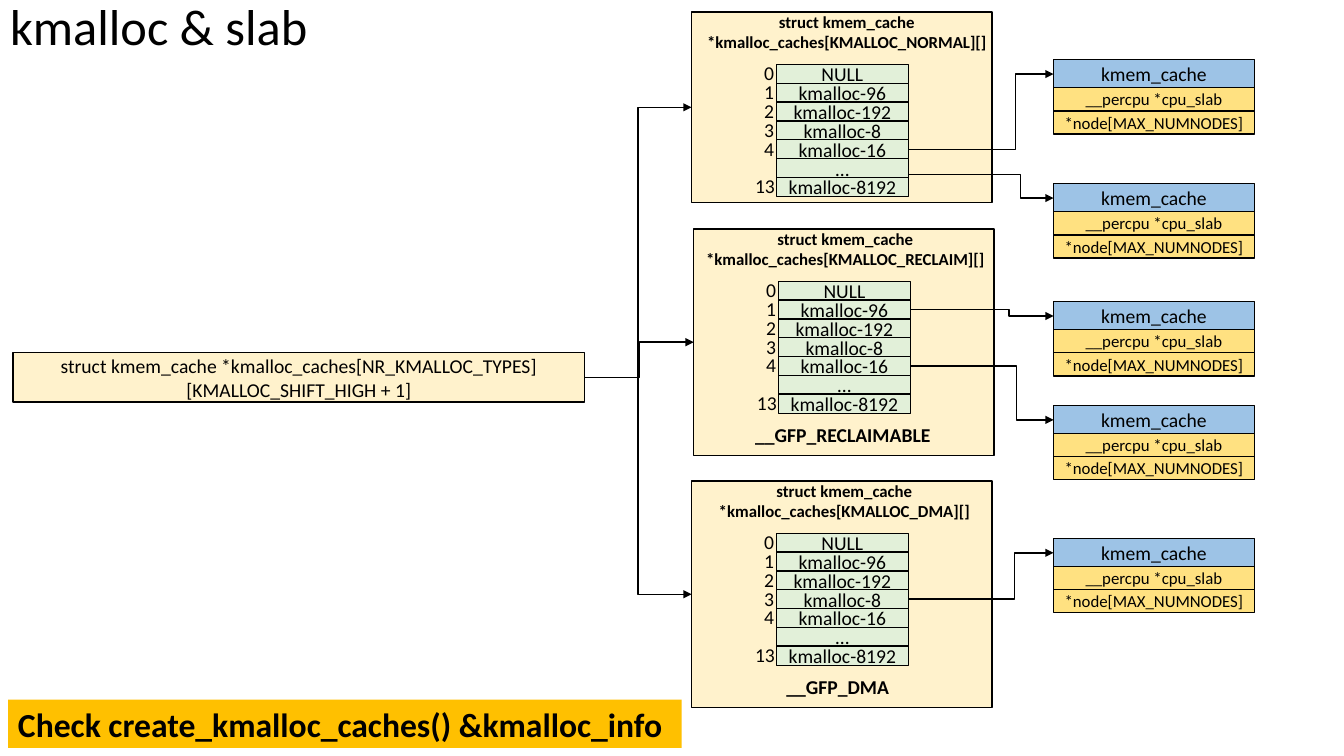
from lxml import etree
from pptx import Presentation
from pptx.dml.color import RGBColor
from pptx.enum.shapes import MSO_CONNECTOR, MSO_SHAPE
from pptx.enum.text import MSO_ANCHOR, MSO_AUTO_SIZE, PP_ALIGN
from pptx.oxml.ns import qn
from pptx.util import Inches, Pt

RECTANGLE = MSO_SHAPE.RECTANGLE
ELBOW = MSO_CONNECTOR.ELBOW
LEFT, CENTER = PP_ALIGN.LEFT, PP_ALIGN.CENTER
MIDDLE, TOP = MSO_ANCHOR.MIDDLE, MSO_ANCHOR.TOP
LEFT_SIDE, RIGHT_SIDE = 1, 3

BLACK, CREAM, GREEN = "000000", "FFF2CC", "E2F0D9"
BLUE, YELLOW, ORANGE = "9DC3E6", "FFE181", "FFC000"

ROWS = [("0", "NULL"), ("1", "kmalloc-96"), ("2", "kmalloc-192"), ("3", "kmalloc-8"),
        ("4", "kmalloc-16"), ("", "…"), ("13", "kmalloc-8192")]
ROW_PITCH = 1.12 / 6
CELL_WIDTH, CELL_HEIGHT = 1.31, 0.19
PANEL_WIDTH = 2.98

# left, top, height, header left, header width, cache type, flag, flag width
PANELS = [
    (6.86, 0.12, 1.89, 6.91, 2.98, "NORMAL", "", 0),
    (6.88, 2.27, 2.25, 6.86, 3.05, "RECLAIM", "__GFP_RECLAIMABLE", 1.97),
    (6.86, 4.77, 2.25, 6.85, 3.05, "DMA", "__GFP_DMA", 1.31),
]
# panel, row, top of the cache, bend as a share of the width
CACHES = [(0, 4, 0.59, 0.737), (0, 5, 1.82, 0.773), (1, 1, 2.99, 0.688),
          (1, 4, 4.02, 0.739), (2, 3, 5.34, 0.73)]


def color(value):
    return RGBColor.from_string(value)


def write(shape, text, size, bold=False, align=CENTER, anchor=MIDDLE):
    frame = shape.text_frame
    frame.word_wrap = True
    frame.vertical_anchor = anchor
    frame.text = text
    para = frame.paragraphs[0]
    para.alignment = align
    for span in para.runs:
        span.font.name = "Calibri"
        span.font.size = Pt(size)
        span.font.bold = bold
        span.font.color.rgb = color(BLACK)


def add_box(slide, left, top, width, height, fill, outlined=True):
    box = slide.shapes.add_shape(RECTANGLE, Inches(left), Inches(top),
                                 Inches(width), Inches(height))
    box.shadow.inherit = False
    box.fill.solid()
    box.fill.fore_color.rgb = color(fill)
    if outlined:
        box.line.color.rgb = color(BLACK)
        box.line.width = Pt(1)
    else:
        box.line.fill.background()
    return box


def add_label(slide, left, top, width, height, text, size, bold=False, align=LEFT):
    label = slide.shapes.add_textbox(Inches(left), Inches(top),
                                     Inches(width), Inches(height))
    write(label, text, size, bold, align, TOP)
    label.text_frame.auto_size = MSO_AUTO_SIZE.SHAPE_TO_FIT_TEXT


def add_elbow(slide, source, target, bend=0.5, start_y=None):
    """Arrow from the right side of source to the left side of target.

    A start_y leaves the start free at that height instead of joining it.
    """
    start = source.left + source.width, source.top + source.height // 2
    if start_y is not None:
        start = start[0], Inches(start_y)
    arrow = slide.shapes.add_connector(ELBOW, *start, target.left,
                                       target.top + target.height // 2)
    if start_y is None:
        arrow.begin_connect(source, RIGHT_SIDE)
    arrow.end_connect(target, LEFT_SIDE)
    arrow.line.color.rgb = color(BLACK)
    arrow.line.width = Pt(1)
    properties = arrow._element.spPr
    etree.SubElement(arrow.line._get_or_add_ln(), qn("a:tailEnd"), type="triangle")
    etree.SubElement(properties, qn("a:effectLst"))
    guides = properties.find(qn("a:prstGeom")).get_or_add_avLst()
    etree.SubElement(guides, qn("a:gd"), name="adj1", fmla=f"val {round(bend * 100000)}")


def add_panel(slide, left, top, height, header_left, header_width, kind, flag, flag_width):
    """Draw one kmalloc_caches panel; return it and its cells."""
    panel = add_box(slide, left, top, PANEL_WIDTH, height, CREAM)
    add_label(slide, header_left, top - 0.05, header_width, 0.5,
              f"struct kmem_cache *kmalloc_caches[KMALLOC_{kind}][]", 12, True, CENTER)
    cell_left = left + 0.84
    cells = []
    for row, (index, name) in enumerate(ROWS):
        cell_top = top + 0.52 + row * ROW_PITCH
        cell = add_box(slide, cell_left, cell_top, CELL_WIDTH, CELL_HEIGHT, GREEN)
        write(cell, name, 14)
        cells.append(cell)
        if index:
            indent = 0.22 if len(index) == 1 else 0.31
            add_label(slide, cell_left - indent, cell_top - 0.08, 0.4, 0.34, index, 14)
    if flag:
        flag_left = cell_left + (CELL_WIDTH - flag_width) / 2
        add_label(slide, flag_left, top + 1.88, flag_width, 0.34, flag, 14, True)
    return panel, cells


def add_cache(slide, top):
    """Draw one kmem_cache; return its heading box."""
    left, width = 10.45, 1.99
    heading = add_box(slide, left, top, width, 0.29, BLUE)
    write(heading, "kmem_cache", 14)
    heading.text_frame.margin_left = heading.text_frame.margin_right = 0
    for offset, field in ((0.28, "__percpu *cpu_slab"), (0.51, "*node[MAX_NUMNODES]")):
        write(add_box(slide, left, top + offset, width, 0.23, YELLOW), field, 12)
    return heading


def main():
    deck = Presentation()
    deck.slide_width, deck.slide_height = Inches(13.33), Inches(7.5)
    slide = deck.slides.add_slide(deck.slide_layouts[5])

    title = slide.shapes.title
    title.left, title.top = Inches(0), Inches(-0.09)
    title.width, title.height = Inches(13.41), Inches(0.75)
    write(title, "kmalloc & slab", 36, align=LEFT)
    title.text_frame.paragraphs[0].line_spacing = 0.9

    root = add_box(slide, 0.13, 3.5, 5.67, 0.49, CREAM)
    write(root, "struct kmem_cache *kmalloc_caches[NR_KMALLOC_TYPES]"
                "[KMALLOC_SHIFT_HIGH + 1]", 14)

    panel_cells = []
    for details in PANELS:
        panel, cells = add_panel(slide, *details)
        add_elbow(slide, root, panel)
        panel_cells.append(cells)

    for panel_number, row, top, bend in CACHES:
        start_y = 1.73 if ROWS[row][1] == "…" else None
        add_elbow(slide, panel_cells[panel_number][row], add_cache(slide, top), bend, start_y)

    note = add_box(slide, 0.08, 6.94, 6.68, 0.48, ORANGE, outlined=False)
    write(note, "Check create_kmalloc_caches() &kmalloc_info", 24, True, LEFT)

    deck.save("out.pptx")


if __name__ == "__main__":
    main()
